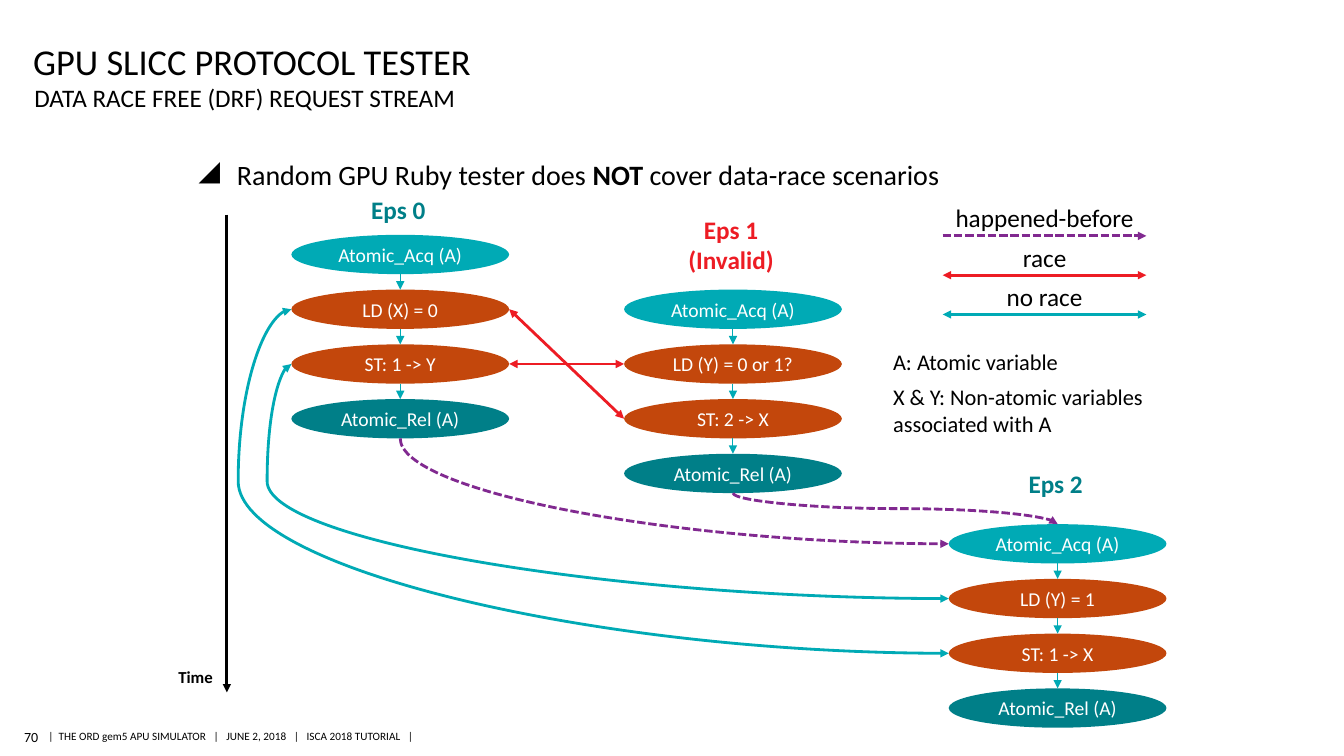
from lxml.etree import SubElement
from pptx import Presentation
from pptx.dml.color import RGBColor
from pptx.enum.dml import MSO_LINE
from pptx.enum.shapes import MSO_CONNECTOR as Link, MSO_SHAPE as Shape
from pptx.enum.text import MSO_ANCHOR as Anchor, PP_ALIGN as Align
from pptx.oxml.ns import qn
from pptx.util import Inches, Pt

WIDTH, HEIGHT = 13.33, 7.5
BLACK, WHITE, RED, PURPLE = "000000", "FFFFFF", "ED1C24", "812990"
TEAL, DARK_TEAL, RUST = "00AAB5", "007F88", "C3470C"
NODE_W, NODE_H, NODE_STEP = 2.16, 0.39, 0.543
NODE_FILLS = (TEAL, RUST, RUST, DARK_TEAL)
DEFAULT_INSETS = (0.1, 0.05, 0.1, 0.05)


def colour(value):
    return RGBColor.from_string(value)


def style(paragraph, size, ink=BLACK, bold=False, align=Align.LEFT):
    paragraph.alignment = align
    for run in paragraph.runs:
        run.font.name = "Calibri"
        run.font.size = Pt(size)
        run.font.bold = bold
        run.font.color.rgb = colour(ink)


def label(slide, box, text, size, ink=BLACK, bold=False, align=Align.LEFT,
          insets=DEFAULT_INSETS, anchor=Anchor.TOP, wrap=True):
    frame = slide.shapes.add_textbox(*map(Inches, box)).text_frame
    frame.word_wrap = wrap
    frame.vertical_anchor = anchor
    (frame.margin_left, frame.margin_top,
     frame.margin_right, frame.margin_bottom) = map(Inches, insets)
    frame.text = text
    for paragraph in frame.paragraphs:
        style(paragraph, size, ink, bold, align)
        paragraph.space_after = Pt(6 if len(frame.paragraphs) > 1 else 0)
    return frame


def arrow(slide, start, end, ink, width=2, both=False, dashed=False, kind=Link.STRAIGHT):
    link = slide.shapes.add_connector(kind, *map(Inches, (*start, *end)))
    link.line.color.rgb = colour(ink)
    link.line.width = Pt(width)
    if dashed:
        link.line.dash_style = MSO_LINE.SQUARE_DOT
    outline = link.line._get_or_add_ln()
    for tag in ("a:headEnd", "a:tailEnd") if both else ("a:tailEnd",):
        SubElement(outline, qn(tag), type="triangle")
    SubElement(link._element.spPr, qn("a:effectLst"))
    return link


def bend(link, share):
    """Set how far along its first direction a curve turns."""
    guides = link._element.spPr.find(qn("a:prstGeom")).find(qn("a:avLst"))
    SubElement(guides, qn("a:gd"), name="adj1", fmla=f"val {round(share * 100000)}")


def side_curve(slide, start, end, reach):
    """Leave a node to the left and come back to another node's left side."""
    curve = arrow(slide, start, end, TEAL, both=True, kind=Link.CURVE)
    bend(curve, -reach / (end[0] - start[0]))


def falling_curve(slide, start, end, preset):
    """Leave a node downwards: a quarter turn of a mirrored curve."""
    curve = arrow(slide, start, end, PURPLE, dashed=True, kind=Link.CURVE)
    across, down = end[0] - start[0], end[1] - start[1]
    curve.left = Inches(start[0] + (across - down) / 2)
    curve.top = Inches(start[1] + (down - across) / 2)
    curve.width, curve.height = Inches(down), Inches(across)
    properties = curve._element.spPr
    turn = properties.find(qn("a:xfrm"))
    turn.set("rot", "16200000")
    turn.set("flipH", "1")
    properties.find(qn("a:prstGeom")).set("prst", preset)
    if preset == "curvedConnector3":
        bend(curve, 0.5)


def heading(slide, left, top, width):
    label(slide, (left, top, width, 0.52), "GPU SLICC PROTOCOL TESTER", 26,
          insets=(0, 0.05, 0, 0), anchor=Anchor.BOTTOM)
    label(slide, (left + 0.01, top + 0.52, width, 0.31),
          "DATA RACE FREE (DRF) REQUEST STREAM", 18, insets=(0, 0, 0, 0))


def key_point(slide, box):
    frame = label(slide, box, "", 20, insets=(0, 0.05, 0, 0.05))
    point = frame.paragraphs[0]
    indent = Inches(0.38)
    settings = point._p.get_or_add_pPr()
    settings.set("marL", str(indent))
    settings.set("indent", str(-indent))
    SubElement(SubElement(settings, qn("a:buClr")), qn("a:srgbClr"), val=BLACK)
    SubElement(settings, qn("a:buChar"), char="◢")
    for part in ("Random GPU Ruby tester does ", "NOT", " cover data-race scenarios"):
        point.add_run().text = part
    style(point, 20)
    point.runs[1].font.bold = True


def episode(slide, left, top, steps):
    """Stack the steps of one episode and chain them with short arrows."""
    middle = left + NODE_W / 2
    for row, (step, fill) in enumerate(zip(steps, NODE_FILLS)):
        y = top + row * NODE_STEP
        node = slide.shapes.add_shape(
            Shape.OVAL, *map(Inches, (left, y, NODE_W, NODE_H)))
        node.shadow.inherit = False
        node.fill.solid()
        node.fill.fore_color.rgb = colour(fill)
        node.line.fill.background()
        node.text_frame.text = step
        node.text_frame.word_wrap = True
        node.text_frame.vertical_anchor = Anchor.MIDDLE
        style(node.text_frame.paragraphs[0], 14, WHITE, align=Align.CENTER)
        if row:
            arrow(slide, (middle, y - NODE_STEP + NODE_H), (middle, y), TEAL, 0.75)


def port(origin, row, side):
    """Point where an arrow meets a node of the episode at origin."""
    across, down = {"left": (0, 0.5), "right": (1, 0.5),
                    "top": (0.5, 0), "bottom": (0.5, 1)}[side]
    return (origin[0] + across * NODE_W,
            origin[1] + row * NODE_STEP + down * NODE_H)


def request_stream(slide, left, top):
    eps0 = (left, top)
    eps1 = (left + 3.3, top + NODE_STEP)
    eps2 = (left + 6.52, top + 2.87)
    first, last = "Atomic_Acq (A)", "Atomic_Rel (A)"
    episode(slide, *eps0, (first, "LD (X) = 0", "ST: 1 -> Y", last))
    episode(slide, *eps1, (first, "LD (Y) = 0 or 1?", "ST: 2 -> X", last))
    episode(slide, *eps2, (first, "LD (Y) = 1", "ST: 1 -> X", last))

    # Episode names
    for origin, name, ink, rise, width in (
            (eps0, "Eps 0", DARK_TEAL, 0.45, 0.84),
            (eps1, "Eps 1\v(Invalid)", RED, 0.8, 1.09),
            (eps2, "Eps 2", DARK_TEAL, 0.6, 0.84)):
        label(slide, (origin[0] + (NODE_W - width) / 2 - 0.02, origin[1] - rise, width, 0.4),
              name, 18, ink, True, Align.CENTER)

    # Races, then pairs without a race, then the happened-before order
    for row0, row1 in ((2, 1), (1, 2)):
        arrow(slide, port(eps0, row0, "right"), port(eps1, row1, "left"), RED, both=True)
    for row0, row2, reach in ((1, 2, 0.53), (2, 1, 0.24)):
        side_curve(slide, port(eps0, row0, "left"), port(eps2, row2, "left"), reach)
    falling_curve(slide, port(eps0, 3, "bottom"), port(eps2, 0, "left"), "curvedConnector2")
    falling_curve(slide, port(eps1, 3, "bottom"), port(eps2, 0, "top"), "curvedConnector3")


def time_axis(slide, x, top, bottom):
    arrow(slide, (x, top), (x, bottom), BLACK)
    label(slide, (x - 0.58, bottom - 0.3, 0.79, 0.3), "Time", 12, bold=True)


def legend(slide, left, top, width):
    for row, (meaning, ink, both, dashed) in enumerate((
            ("happened-before", PURPLE, False, True),
            ("race", RED, True, False),
            ("no race", TEAL, True, False))):
        y = top + 0.4 + row * 0.39
        label(slide, (left, y - 0.38, width, 0.4), meaning, 18, align=Align.CENTER)
        arrow(slide, (left, y), (left + width, y), ink, both=both, dashed=dashed)
    label(slide, (left - 0.59, top + 1.46, 2.9, 0.99),
          "A: Atomic variable\nX & Y: Non-atomic variables associated with A", 16)


def footer(slide, left, top):
    label(slide, (left, top, 0.16, 0.26), "70", 10, align=Align.RIGHT,
          insets=(0, 0.04, 0, 0.04), anchor=Anchor.MIDDLE, wrap=False)
    label(slide, (left + 0.26, top + 0.01, 3.65, 0.23),
          "|  THE ORD gem5 APU SIMULATOR   |   JUNE 2, 2018   |   ISCA 2018 TUTORIAL   |",
          8, insets=(0, 0.04, 0, 0.04), anchor=Anchor.MIDDLE)


def main():
    deck = Presentation()
    deck.slide_width, deck.slide_height = Inches(WIDTH), Inches(HEIGHT)
    slide = deck.slides.add_slide(deck.slide_layouts[6])
    heading(slide, 0.33, 0.3, 11.4)
    key_point(slide, (1.97, 1.51, 9.4, 0.51))
    request_stream(slide, 2.89, 2.33)
    time_axis(slide, 2.25, 2.13, 6.87)
    legend(slide, 9.35, 1.94, 2.02)
    footer(slide, 0.22, 7.18)
    deck.save("out.pptx")


if __name__ == "__main__":
    main()
